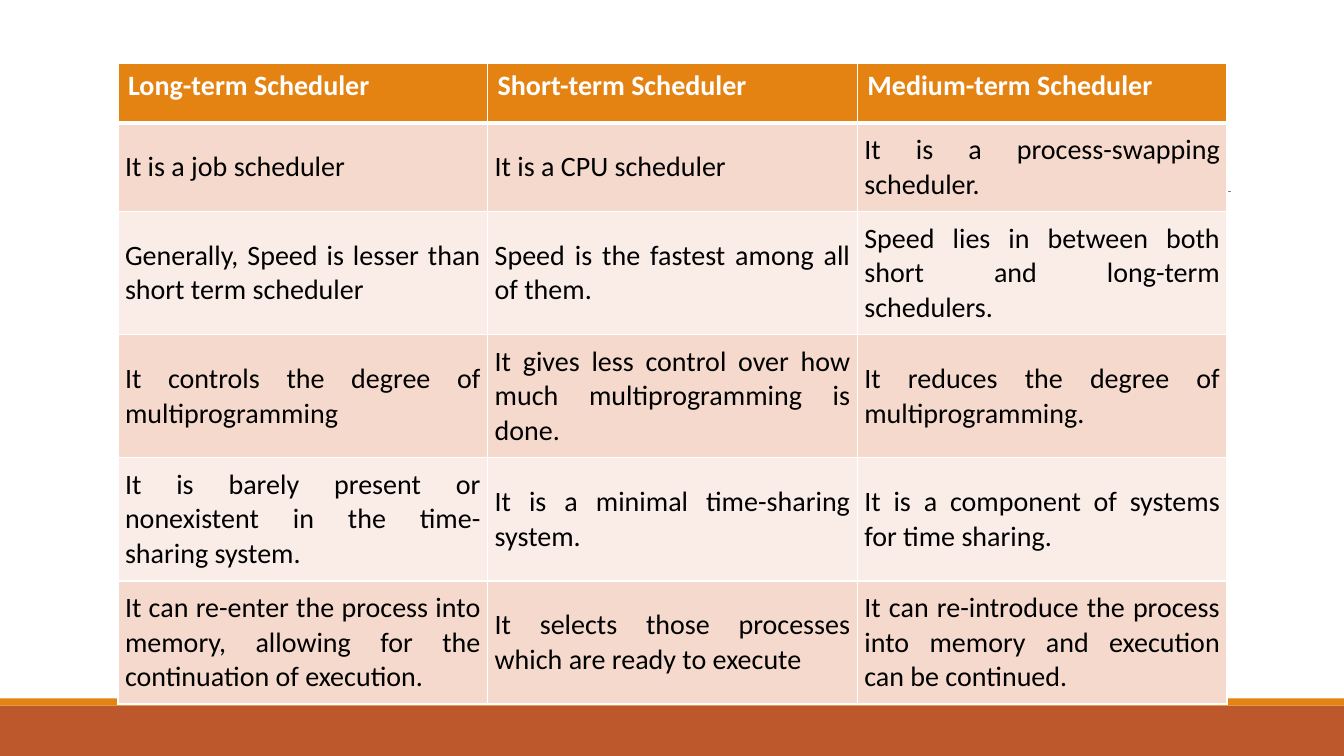
from pptx import Presentation
from pptx import util as u
from pptx.dml.color import RGBColor
from pptx.enum import shapes, text
from pptx.oxml.ns import qn
from lxml import etree

HEADERS = ["Long-term Scheduler", "Short-term Scheduler", "Medium-term Scheduler"]
COMPARISONS = [
    ["It is a job scheduler",
     "It is a CPU scheduler",
     "It is a process-swapping scheduler."],
    ["Generally, Speed is lesser than short term scheduler",
     "Speed is the fastest among all of them.",
     "Speed lies in between both short and long-term schedulers."],
    ["It controls the degree of multiprogramming",
     "It gives less control over how much multiprogramming is done.",
     "It reduces the degree of multiprogramming."],
    ["It is barely present or nonexistent in the time-sharing system.",
     "It is a minimal time-sharing system.",
     "It is a component of systems for time sharing."],
    ["It can re-enter the process into memory, allowing for the continuation of execution.",
     "It selects those processes which are ready to execute",
     "It can re-introduce the process into memory and execution can be continued."],
]
ROW_HEIGHTS = [0.59, 0.59, 0.9, 0.9, 0.9, 0.9]
THEME = {
    "font": "Calibri", "size": 20,
    "footer": "BD582C", "accent": "E48312", "rule": "808080",
    "header_text": "FFFFFF", "body_text": "000000", "border": "FFFFFF",
    "bands": ["F5D9CC", "FAEDE7"],
}
SLIDE_W, SLIDE_H = 13.33, 7.5
TABLE_X, TABLE_Y, TABLE_W = 1.17, 0.63, 11


def color(name):
    return RGBColor.from_string(THEME[name])


def add_bar(slide, top, height, fill):
    sp = slide.shapes.add_shape(shapes.MSO_SHAPE.RECTANGLE, 0, u.Inches(top),
                                u.Inches(SLIDE_W), u.Inches(height))
    sp.shadow.inherit = False
    sp.fill.solid()
    sp.fill.fore_color.rgb = color(fill)
    sp.line.fill.background()


def add_rule(slide):
    line = slide.shapes.add_connector(shapes.MSO_CONNECTOR.STRAIGHT, u.Inches(1.31),
                                      u.Inches(1.9), u.Inches(12.21), u.Inches(1.9))
    line.line.color.rgb = color("rule")
    line.line.width = u.Pt(0.5)
    etree.SubElement(line._element.spPr, qn("a:effectLst"))


def set_borders(cell, top, bottom):
    tc_pr = cell._tc.get_or_add_tcPr()
    widths = {"L": 1, "R": 1, "T": top, "B": bottom}
    for i, (side, width) in enumerate(widths.items()):
        ln = etree.Element(qn(f"a:ln{side}"), w=str(u.Pt(width)))
        fill = etree.SubElement(ln, qn("a:solidFill"))
        etree.SubElement(fill, qn("a:srgbClr"), val=THEME["border"])
        tc_pr.insert(i, ln)


def format_cell(cell, row):
    header = row == 0
    fill = THEME["accent"] if header else THEME["bands"][(row - 1) % 2]
    cell.fill.solid()
    cell.fill.fore_color.rgb = RGBColor.from_string(fill)
    if not header:
        cell.vertical_anchor = text.MSO_ANCHOR.MIDDLE
        cell.margin_left = cell.margin_right = u.Inches(0.07)
        cell.margin_top = cell.margin_bottom = u.Inches(0.1)
    p = cell.text_frame.paragraphs[0]
    p.alignment = text.PP_ALIGN.JUSTIFY
    p.font.name = THEME["font"]
    p.font.size = u.Pt(THEME["size"])
    p.font.bold = header
    p.font.color.rgb = color("header_text" if header else "body_text")
    set_borders(cell, 3 if row == 1 else 1, 3 if header else 1)


def add_comparison_table(slide):
    rows = [HEADERS] + COMPARISONS
    table = slide.shapes.add_table(
        len(rows), len(HEADERS), u.Inches(TABLE_X), u.Inches(TABLE_Y),
        u.Inches(TABLE_W), u.Inches(sum(ROW_HEIGHTS))).table
    for column in table.columns:
        column.width = u.Inches(TABLE_W / len(HEADERS))
    for r, values in enumerate(rows):
        table.rows[r].height = u.Inches(ROW_HEIGHTS[r])
        for c, value in enumerate(values):
            cell = table.cell(r, c)
            cell.text = value
            format_cell(cell, r)


def main():
    prs = Presentation()
    prs.slide_width, prs.slide_height = u.Inches(SLIDE_W), u.Inches(SLIDE_H)
    slide = prs.slides.add_slide(prs.slide_layouts[6])
    add_bar(slide, 7, 0.5, "footer")
    add_bar(slide, 6.93, 0.07, "accent")
    add_rule(slide)
    add_comparison_table(slide)
    prs.save("out.pptx")


if __name__ == "__main__":
    main()
